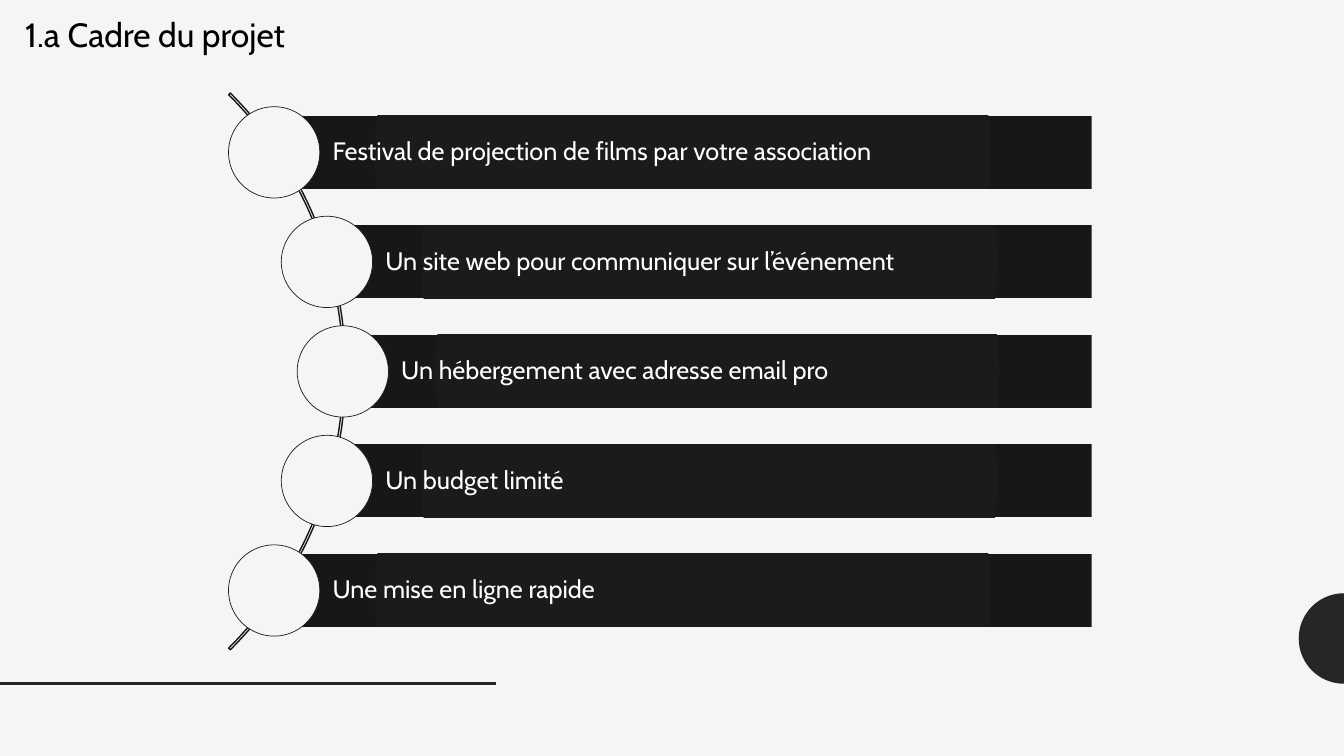
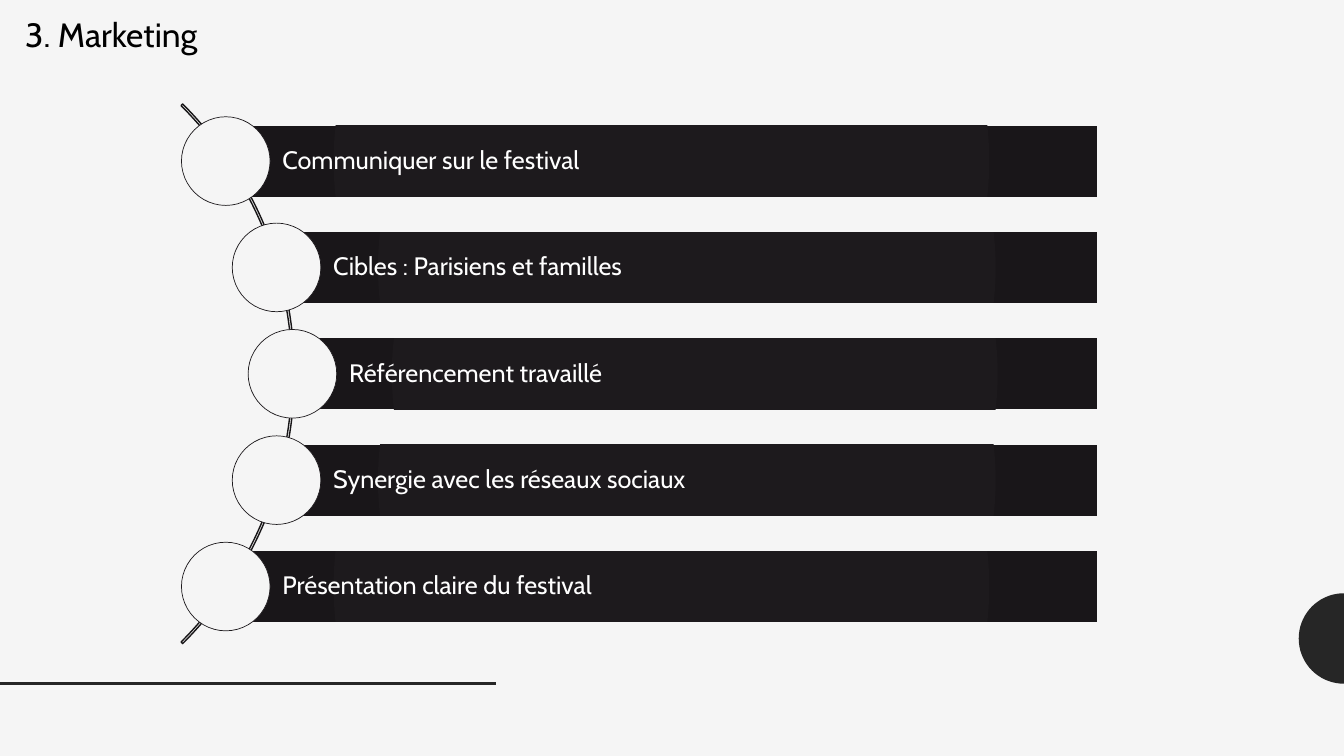
from math import cos, radians, sin

from pptx import Presentation
from pptx.dml.color import RGBColor
from pptx.enum.shapes import MSO_CONNECTOR, MSO_SHAPE
from pptx.enum.text import MSO_ANCHOR, MSO_AUTO_SIZE, PP_ALIGN
from pptx.oxml import parse_xml
from pptx.oxml.ns import nsdecls, qn
from pptx.util import Cm, Pt

PAPER, INK, DARK = "F5F5F5", "000000", "262626"
ARC_LINE, CIRCLE_LINE, BAR_TEXT = "171517", "1D1A1D", "FFFFFF"
BAR_STOPS = {0: "1E1A1E", 50: "1D1A1D", 100: "191619"}
FONT = "Cabin"
WIDTH, HEIGHT = 33.87, 19.05

BAR_GRADIENT = (
    f'<a:gradFill {nsdecls("a")} rotWithShape="1"><a:gsLst>'
    + "".join(f'<a:gs pos="{position * 1000}"><a:srgbClr val="{color}"/></a:gs>'
              for position, color in BAR_STOPS.items())
    + '</a:gsLst><a:path path="circle">'
    '<a:fillToRect l="100000" t="100000" r="100000" b="100000"/>'
    '</a:path></a:gradFill>')

# Lengths in centimetres; indents follow the curve from bar to bar.
SLIDES = [
    dict(title="1.a Cadre du projet", left=6.91, right=27.51, middle=9.36, step=2.76,
         indents=(0, 1.33, 1.73, 1.33, 0), arc_left=-11.13, arc_size=19.84,
         items=("Festival de projection de films par votre association",
                "Un site web pour communiquer sur l’événement",
                "Un hébergement avec adresse email pro",
                "Un budget limité",
                "Une mise en ligne rapide")),
    dict(title="3. Marketing", left=5.69, right=27.65, middle=9.42, step=2.68,
         indents=(0, 1.28, 1.68, 1.28, 0), arc_left=-11.81, arc_size=19.23,
         items=("Communiquer sur le festival",
                "Cibles : Parisiens et familles",
                "Référencement travaillé",
                "Synergie avec les réseaux sociaux",
                "Présentation claire du festival")),
]


def rgb(color):
    return RGBColor.from_string(color)


def write(shape, text, size, color, **frame_format):
    """Put one left-aligned paragraph in the shape and format its frame."""
    frame = shape.text_frame
    frame.text = text
    frame.word_wrap = True
    frame.auto_size = MSO_AUTO_SIZE.NONE
    for name, value in frame_format.items():
        setattr(frame, name, value)
    paragraph = frame.paragraphs[0]
    paragraph.alignment = PP_ALIGN.LEFT
    font = paragraph.runs[0].font
    font.name, font.size, font.color.rgb = FONT, Pt(size), rgb(color)
    return paragraph


presentation = Presentation()
presentation.slide_width, presentation.slide_height = Cm(WIDTH), Cm(HEIGHT)
layout = presentation.slide_layouts[5]
background = presentation.slide_master.background.fill
background.solid()
background.fore_color.rgb = rgb(PAPER)
slides = [presentation.slides.add_slide(layout) for _ in SLIDES]

# Shared decoration: drawn once, then moved to the layout.
disc_y, disc_radius = 16.09, 1.14
points = [(Cm(WIDTH - disc_radius * sin(radians(angle))),
           Cm(disc_y - disc_radius * cos(radians(angle)))) for angle in range(0, 181, 5)]
builder = slides[0].shapes.build_freeform(*points[0])
builder.add_line_segments(points[1:], close=True)
half_disc = builder.convert_to_shape()
half_disc.shadow.inherit = False
half_disc.fill.solid()
half_disc.fill.fore_color.rgb = rgb(DARK)
half_disc.line.fill.background()

rule_y = Cm(17.22)
rule = slides[0].shapes.add_connector(MSO_CONNECTOR.STRAIGHT, 0, rule_y, Cm(12.5), rule_y)
rule.line.color.rgb = rgb(DARK)
rule.line.width = Pt(2)
rule.element.spPr.append(parse_xml(f'<a:effectLst {nsdecls("a")}/>'))

for decoration in (half_disc, rule):
    layout.shapes.element.append(decoration.element)

for slide, content in zip(slides, SLIDES):
    shapes = slide.shapes
    title = shapes.title
    title.left, title.top, title.width, title.height = Cm(0.38), Cm(0.23), Cm(16.71), Cm(1.27)
    write(title, content["title"], 24, INK, vertical_anchor=MSO_ANCHOR.TOP)

    middle, step, arc_size = content["middle"], content["step"], content["arc_size"]
    arc = shapes.add_shape(MSO_SHAPE.BLOCK_ARC, Cm(content["arc_left"]),
                           Cm(middle - arc_size / 2), Cm(arc_size), Cm(arc_size))
    for index, value in enumerate((189, 27, 0.003)):
        arc.adjustments[index] = value
    arc.shadow.inherit = False
    arc.fill.background()
    arc.line.color.rgb = rgb(ARC_LINE)
    arc.line.width = Pt(1)

    bar_height = step / 1.5
    circle_size = bar_height * 1.25
    for index, (text, indent) in enumerate(zip(content["items"], content["indents"])):
        left = content["left"] + indent
        center = middle + (index - 2) * step
        bar = shapes.add_shape(MSO_SHAPE.RECTANGLE, Cm(left), Cm(center - bar_height / 2),
                               Cm(content["right"] - left), Cm(bar_height))
        bar.shadow.inherit = False
        bar.line.fill.background()
        bar.fill.gradient()
        properties = bar.element.spPr
        properties.replace(properties.find(qn("a:gradFill")), parse_xml(BAR_GRADIENT))
        paragraph = write(bar, text, 18, BAR_TEXT, vertical_anchor=MSO_ANCHOR.MIDDLE,
                          margin_left=Cm(bar_height * 0.8), margin_right=Cm(0.13),
                          margin_top=Cm(0.13), margin_bottom=Cm(0.13))
        paragraph.line_spacing = 0.9

        circle = shapes.add_shape(MSO_SHAPE.OVAL, Cm(left - circle_size / 2),
                                  Cm(center - circle_size / 2), Cm(circle_size), Cm(circle_size))
        circle.shadow.inherit = False
        circle.fill.solid()
        circle.fill.fore_color.rgb = rgb(PAPER)
        circle.line.color.rgb = rgb(CIRCLE_LINE)
        circle.line.width = Pt(0.5)

presentation.save("out.pptx")
